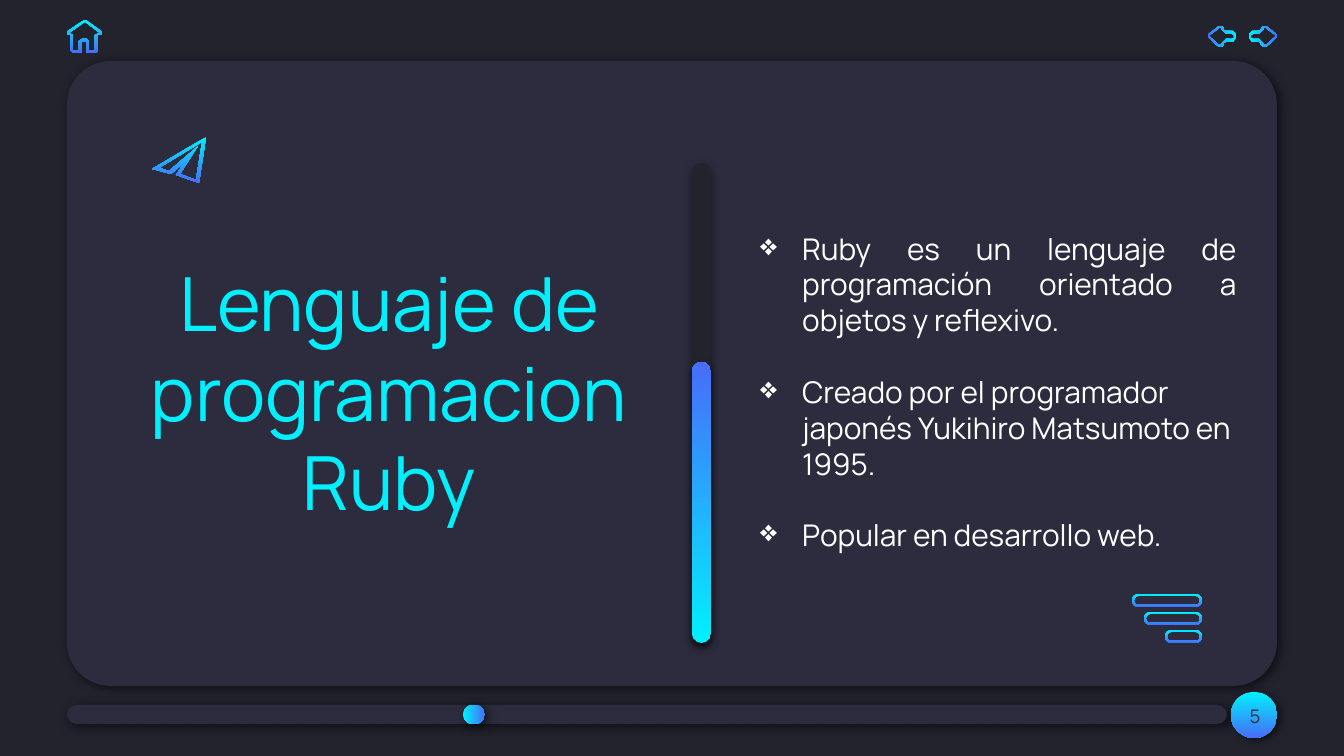
import math
from dataclasses import dataclass

from lxml import etree
from pptx import Presentation
from pptx.dml.color import RGBColor
from pptx.enum.shapes import MSO_SHAPE
from pptx.enum.text import MSO_ANCHOR, MSO_AUTO_SIZE, PP_ALIGN
from pptx.oxml.ns import qn
from pptx.util import Emu, Pt

ROUNDED, OVAL = MSO_SHAPE.ROUNDED_RECTANGLE, MSO_SHAPE.OVAL
LEFT, CENTER, JUSTIFY = PP_ALIGN.LEFT, PP_ALIGN.CENTER, PP_ALIGN.JUSTIFY
MIDDLE = MSO_ANCHOR.MIDDLE
NO_FIT = MSO_AUTO_SIZE.NONE

# Gradient directions, counter-clockwise from left to right
RIGHTWARD, UPWARD, LEFTWARD, DOWNWARD = 0, 90, 180, 270


@dataclass(frozen=True)
class Theme:
    font: str = "Manrope"
    background: str = "23232E"
    surface: str = "2C2C3E"
    cyan: str = "01F0FD"
    blue: str = "476DFA"
    text: str = "FFFFFF"
    title_size: int = 40
    body_size: int = 16
    number_size: int = 10
    item_gap: float = 19.2
    # Shadows: opacity %, blur pt, distance pt, direction in degrees
    raised: tuple = (60, 5.6, 2.2, 33)
    badge: tuple = (60, 4.5, 2.2, 33)
    sunken: tuple = (50, 4.5, 1.5, 90)


def px(value):
    return Emu(round(value * 914400 / 134.4))


def capsule(left, top, width, height):
    """Points of a bar with round ends."""
    radius = height / 2
    points = []
    for center, start in ((left + width - radius, -90), (left + radius, 90)):
        for step in range(13):
            angle = math.radians(start + 15 * step)
            points.append((center + radius * math.cos(angle),
                           top + radius + radius * math.sin(angle)))
    return points


class Builder:
    def __init__(self, page, theme):
        self.page, self.theme = page, theme
        background = page.background.fill
        background.solid()
        background.fore_color.rgb = RGBColor.from_string(theme.background)

    def paint(self, shape, color=None, angle=DOWNWARD, shadow=None):
        """Solid fill if a color is given, else the accent gradient."""
        shape.line.fill.background()
        if color:
            shape.fill.solid()
            shape.fill.fore_color.rgb = RGBColor.from_string(color)
        else:
            shape.fill.gradient()
            shape.fill.gradient_angle = angle
            ends = (self.theme.cyan, self.theme.blue)
            for stop, end in zip(shape.fill.gradient_stops, ends):
                stop.color.rgb = RGBColor.from_string(end)
        shape.shadow.inherit = False
        if shadow:
            opacity, blur, distance, direction = shadow
            effects = shape.element.spPr.find(qn("a:effectLst"))
            outer = etree.SubElement(
                effects, qn("a:outerShdw"), blurRad=str(Pt(blur)),
                dist=str(Pt(distance)), dir=str(direction * 60000),
                algn="bl", rotWithShape="0")
            tint = etree.SubElement(outer, qn("a:srgbClr"), val="000000")
            etree.SubElement(tint, qn("a:alpha"), val=str(opacity * 1000))

    def shape(self, kind, left, top, width, height, corner=0.5, **style):
        shape = self.page.shapes.add_shape(
            kind, px(left), px(top), px(width), px(height))
        if kind == ROUNDED:
            shape.adjustments[0] = corner
        self.paint(shape, **style)

    def icon(self, outer, inner, angle=DOWNWARD):
        """Line icon: an outer contour with an inner one cut out."""
        contours = [[(px(x), px(y)) for x, y in contour]
                    for contour in (outer, inner[::-1])]
        pen = self.page.shapes.build_freeform(*contours[0][0], scale=1.0)
        pen.add_line_segments(contours[0][1:], close=True)
        pen.move_to(*contours[1][0])
        pen.add_line_segments(contours[1][1:], close=True)
        self.paint(pen.convert_to_shape(), angle=angle)

    def format_frame(self, frame):
        frame.word_wrap = True
        frame.auto_size = NO_FIT
        frame.vertical_anchor = MIDDLE
        frame.margin_left = frame.margin_right = Emu(91440)
        frame.margin_top = frame.margin_bottom = Emu(91440)

    def format_para(self, para, text, size, color, align):
        para.text = text
        para.alignment = align
        para.font.name = self.theme.font
        para.font.size = Pt(size)
        para.font.color.rgb = RGBColor.from_string(color)

    def title(self, text, left, top, width, height):
        title = self.page.shapes.title
        title.left, title.top = px(left), px(top)
        title.width, title.height = px(width), px(height)
        self.format_frame(title.text_frame)
        self.format_para(title.text_frame.paragraphs[0], text,
                         self.theme.title_size, self.theme.cyan, CENTER)
        # Bring the title in front of the panel
        title.element.getparent().append(title.element)

    def text_box(self, left, top, width, height):
        box = self.page.shapes.add_textbox(
            px(left), px(top), px(width), px(height))
        self.format_frame(box.text_frame)
        return box.text_frame

    def label(self, text, *place):
        frame = self.text_box(*place)
        self.format_para(frame.paragraphs[0], text, self.theme.number_size,
                         self.theme.surface, CENTER)

    def bullets(self, items, *place, indent=42):
        frame = self.text_box(*place)
        for index, (text, align) in enumerate(items):
            para = frame.add_paragraph() if index else frame.paragraphs[0]
            self.format_para(para, text, self.theme.body_size,
                             self.theme.text, align)
            para.space_before = Pt(self.theme.item_gap if index else 0)
            props = para._p.get_or_add_pPr()
            props.set("marL", str(px(indent)))
            props.set("indent", str(-px(indent)))
            bullet = etree.Element(qn("a:buChar"), char="❖")
            props.find(qn("a:defRPr")).addprevious(bullet)


def main():
    theme = Theme()
    deck = Presentation()
    deck.slide_width, deck.slide_height = px(1344), px(756)
    build = Builder(deck.slides.add_slide(deck.slide_layouts[5]), theme)

    # Panel, progress track and page number
    build.shape(ROUNDED, 67, 61, 1210, 625, corner=0.07,
                color=theme.surface, shadow=theme.raised)
    build.shape(ROUNDED, 67, 705, 1160, 19,
                color=theme.surface, shadow=theme.raised)
    build.shape(ROUNDED, 463, 705, 22, 19, angle=RIGHTWARD,
                shadow=theme.raised)
    build.shape(OVAL, 1231, 692, 46, 46, shadow=theme.badge)
    build.label("5", 1215, 687, 80, 58)

    # Title and bullet list
    build.title("Lenguaje de programacion Ruby", 102, 226, 574, 331)
    build.bullets([
        ("Ruby es un lenguaje de programación orientado a objetos y "
         "reflexivo.", JUSTIFY),
        ("Creado por el programador japonés Yukihiro Matsumoto en 1995.",
         LEFT),
        ("Popular en desarrollo web.", LEFT),
    ], 747, 226, 503, 331)

    # Vertical divider
    build.shape(ROUNDED, 692, 163, 19, 481,
                color=theme.background, shadow=theme.sunken)
    build.shape(ROUNDED, 692, 362, 19, 281, angle=UPWARD,
                shadow=theme.sunken)

    # Stacked bars, aligned right
    right, height, stroke = 1202, 13, 2
    for row, left in enumerate((1132, 1144, 1165)):
        top = 594 + 18 * row
        build.icon(capsule(left, top, right - left, height),
                   capsule(left + stroke, top + stroke,
                           right - left - 2 * stroke, height - 2 * stroke))

    # Paper plane
    build.icon([(206, 137), (152, 169), (171, 174), (185, 162), (176, 175),
                (199, 183)],
               [(202, 142), (196, 180), (180, 174), (198, 146), (169, 171),
                (159, 168)])

    # Home
    build.icon([(84, 20), (86, 20), (101, 31), (102, 34), (100, 35), (98, 35),
                (98, 51), (96, 53), (87, 53), (87, 42), (82, 42), (82, 53),
                (73, 53), (71, 51), (71, 35), (69, 35), (67, 34), (68, 31)],
               [(85, 22), (100, 33), (99, 34), (97, 34), (95, 35), (95, 51),
                (89, 51), (89, 41), (87, 39), (82, 39), (79, 41), (79, 51),
                (73, 51), (73, 35), (71, 34), (69, 34), (69, 33)])

    # Next arrow, and its mirror image for the previous one
    outer = [(1249, 38), (1252, 42), (1259, 42), (1261, 43), (1261, 45),
             (1263, 47), (1266, 47), (1275, 39), (1277, 37), (1277, 35),
             (1275, 33), (1266, 26), (1263, 26), (1261, 29), (1261, 30),
             (1259, 31), (1252, 31), (1249, 34)]
    inner = [(1251, 35), (1253, 34), (1259, 34), (1263, 30), (1264, 28),
             (1266, 28), (1275, 35), (1275, 37), (1266, 45), (1264, 45),
             (1263, 43), (1259, 39), (1253, 39), (1251, 38)]
    build.icon(outer, inner, angle=RIGHTWARD)
    mirrored = [[(2485 - x, y) for x, y in contour]
                for contour in (outer, inner)]
    build.icon(*mirrored, angle=LEFTWARD)

    deck.save("out.pptx")


if __name__ == "__main__":
    main()
